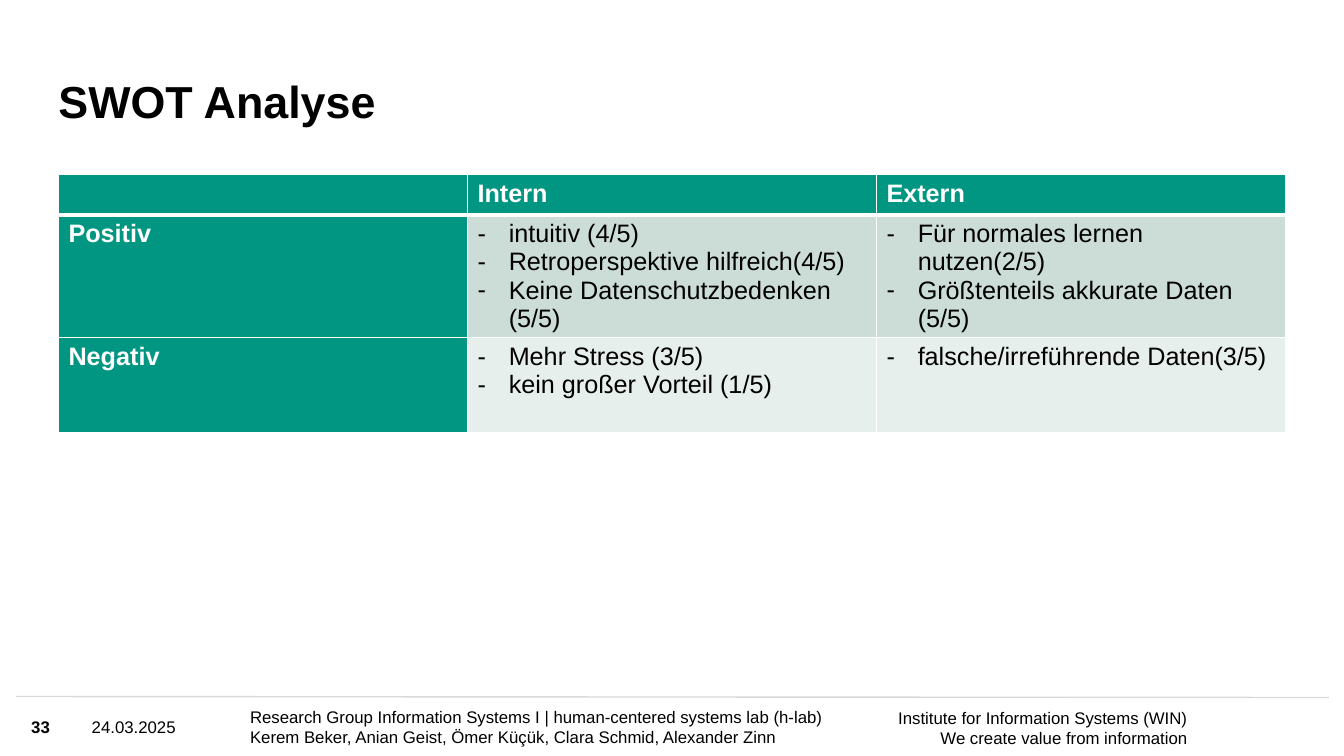
from lxml import etree
from pptx import Presentation
from pptx import util as u
from pptx.dml.color import RGBColor
from pptx.enum import shapes, text
from pptx.oxml import ns

BLACK = RGBColor(0x00, 0x00, 0x00)
WHITE = RGBColor(0xFF, 0xFF, 0xFF)
GREEN = RGBColor(0x00, 0x96, 0x82)
PALE_GREEN = RGBColor(0xCC, 0xDD, 0xD8)
LIGHT_GREEN = RGBColor(0xE7, 0xEF, 0xED)
RULE_GREY = RGBColor(0xD9, 0xD9, 0xD9)

SWOT_ROWS = [
    [[], ["Intern"], ["Extern"]],
    [["Positiv"],
     ["intuitiv (4/5)", "Retroperspektive hilfreich(4/5)", "Keine Datenschutzbedenken (5/5)"],
     ["Für normales lernen nutzen(2/5)", "Größtenteils akkurate Daten (5/5)"]],
    [["Negativ"],
     ["Mehr Stress (3/5)", "kein großer Vorteil (1/5)"],
     ["falsche/irreführende Daten(3/5)"]],
]
ROW_HEIGHTS = [0.4, 1.22, 0.94]
ROW_FILLS = [GREEN, PALE_GREEN, LIGHT_GREEN]


class SlideBuilder:
    font_name = "Arial"

    def __init__(self, presentation):
        self.slide = presentation.slides.add_slide(presentation.slide_layouts[5])

    def style(self, paragraph, size, color=BLACK, bold=False):
        font = paragraph.font
        font.name, font.size, font.bold = self.font_name, u.Pt(size), bold
        font.color.rgb = color

    def fill_frame(self, shape, box, lines, size, anchor, align=text.PP_ALIGN.LEFT, bold=False):
        """Place a shape and fill it with lines of text, without insets."""
        shape.left, shape.top, shape.width, shape.height = map(u.Inches, box)
        frame = shape.text_frame
        frame.margin_left = frame.margin_right = frame.margin_top = frame.margin_bottom = 0
        frame.word_wrap = True
        frame.auto_size = text.MSO_AUTO_SIZE.NONE
        frame.vertical_anchor = anchor
        frame.text = "\n".join(lines)
        for paragraph in frame.paragraphs:
            paragraph.alignment = align
            self.style(paragraph, size, bold=bold)

    def title(self, box, wording):
        title = self.slide.shapes.title
        self.fill_frame(title, box, [wording], 32, text.MSO_ANCHOR.BOTTOM, bold=True)
        title.text_frame.paragraphs[0].line_spacing = 0.9

    def footer(self, box, lines, **options):
        shape = self.slide.shapes.add_textbox(*map(u.Inches, box))
        self.fill_frame(shape, box, lines, 12, text.MSO_ANCHOR.MIDDLE, **options)

    def rule(self, *ends):
        line = self.slide.shapes.add_connector(shapes.MSO_CONNECTOR.STRAIGHT, *map(u.Inches, ends))
        line.line.color.rgb = RULE_GREY
        line.line.width = u.Pt(1)
        etree.SubElement(line._element.spPr, ns.qn("a:effectLst"))

    def dash(self, paragraph):
        properties = paragraph._p.get_or_add_pPr()
        indent = u.Inches(0.31)
        properties.set("marL", str(indent))
        properties.set("indent", str(-indent))
        etree.SubElement(properties, ns.qn("a:buFont"), typeface=self.font_name)
        etree.SubElement(properties, ns.qn("a:buChar"), char="-")

    def borders(self, cell, widths):
        """Draw white borders, given widths in points for left, right, top and bottom."""
        properties = cell._tc.get_or_add_tcPr()
        for index, (side, width) in enumerate(zip("LRTB", widths)):
            border = etree.Element(ns.qn(f"a:ln{side}"), w=str(u.Pt(width)))
            fill = etree.SubElement(border, ns.qn("a:solidFill"))
            etree.SubElement(fill, ns.qn("a:srgbClr"), val=str(WHITE))
            properties.insert(index, border)

    def cell(self, cell, lines, fill, heading):
        cell.fill.solid()
        cell.fill.fore_color.rgb = fill
        cell.text = "\n".join(lines)
        for paragraph in cell.text_frame.paragraphs:
            if not heading:
                self.dash(paragraph)
            self.style(paragraph, 18, WHITE if heading else BLACK, heading)

    def table(self, left, top, width, rows):
        frame = self.slide.shapes.add_table(
            len(rows), len(rows[0]), u.Inches(left), u.Inches(top),
            u.Inches(width), u.Inches(sum(ROW_HEIGHTS)))
        table = frame.table
        table.horz_banding = False
        for row_index, row in enumerate(rows):
            table.rows[row_index].height = u.Inches(ROW_HEIGHTS[row_index])
            for column_index, lines in enumerate(row):
                cell = table.cell(row_index, column_index)
                heading = row_index == 0 or column_index == 0
                self.cell(cell, lines, GREEN if heading else ROW_FILLS[row_index], heading)
                self.borders(cell, (1, 1, 3 if row_index == 1 else 1, 3 if row_index == 0 else 1))


def main():
    presentation = Presentation()
    presentation.slide_width = u.Inches(13.33)
    presentation.slide_height = u.Inches(7.5)
    builder = SlideBuilder(presentation)
    builder.rule(0.16, 6.91, 13.18, 6.92)
    builder.footer((2.48, 6.92, 5.74, 0.58), [
        "Research Group Information Systems I | human-centered systems lab (h-lab)",
        "Kerem Beker, Anian Geist, Ömer Küçük, Clara Schmid, Alexander Zinn"])
    builder.footer((7.05, 6.93, 4.73, 0.58), [
        "Institute for Information Systems (WIN)",
        "We create value from information"], align=text.PP_ALIGN.RIGHT)
    builder.table(0.58, 1.73, 12.17, SWOT_ROWS)
    builder.footer((0.91, 6.92, 1.5, 0.58), ["24.03.2025"])
    builder.footer((0.31, 6.92, 0.48, 0.58), ["33"], bold=True)
    builder.title((0.58, 0.43, 10.02, 0.84), "SWOT Analyse")
    presentation.save("out.pptx")


if __name__ == "__main__":
    main()
